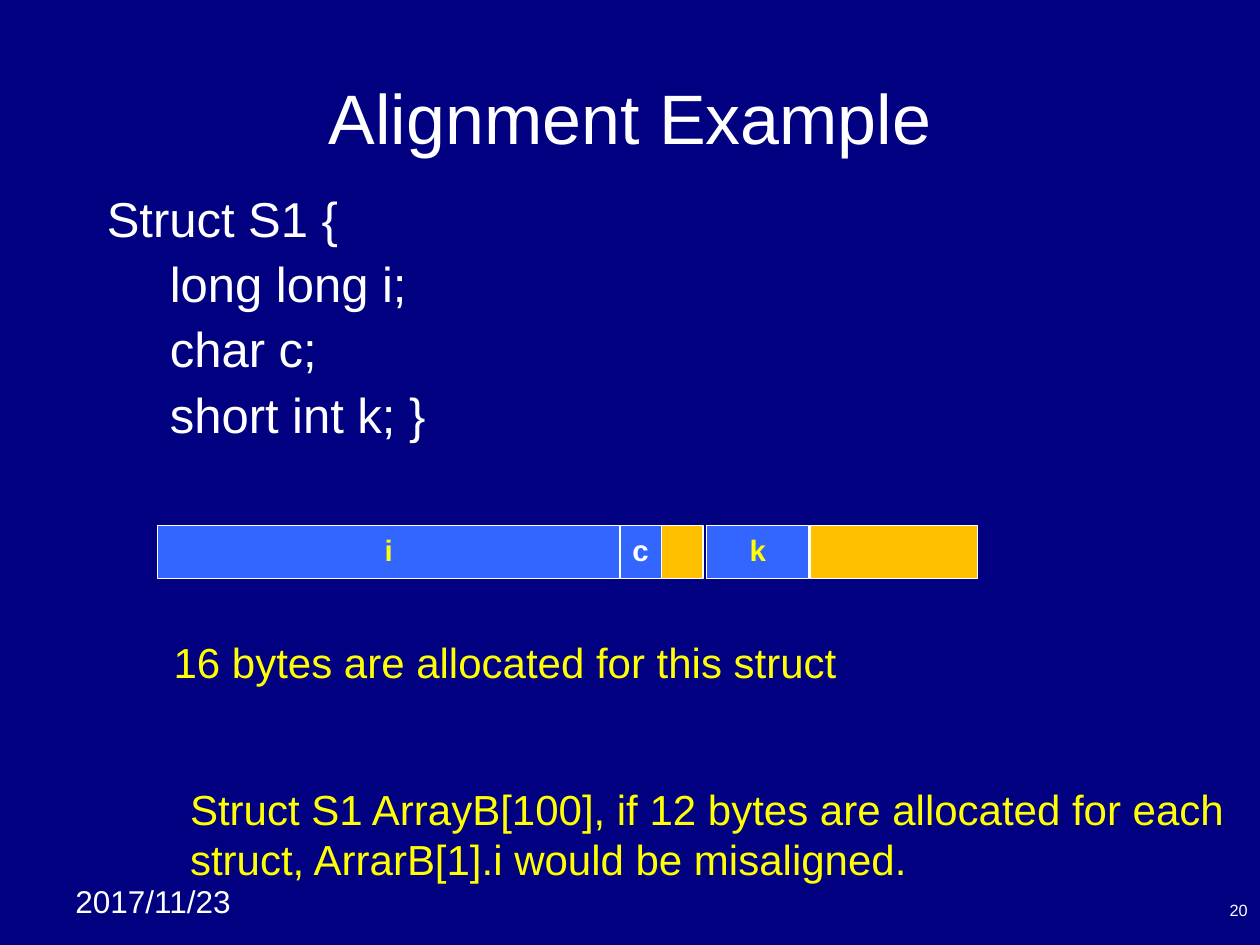
from dataclasses import dataclass

from pptx import Presentation
from pptx.dml.color import RGBColor
from pptx.enum.shapes import MSO_SHAPE
from pptx.enum.text import MSO_ANCHOR, PP_ALIGN
from pptx.shapes.autoshape import Shape
from pptx.slide import Slide
from pptx.util import Inches, Pt

COLORS = {
    "navy": "000080",
    "white": "FFFFFF",
    "yellow": "FFFF00",
    "blue": "3366FF",
    "gold": "FFC000",
}
TOP, HEIGHT = 4.17, 0.42


@dataclass
class Label:
    box: tuple[float, float, float, float]
    lines: list[str]
    size: float
    color: str = "white"
    align: PP_ALIGN = PP_ALIGN.LEFT
    anchor: MSO_ANCHOR = MSO_ANCHOR.TOP
    wrap: bool = True
    before: float = 0
    spacing: float = 1.0


@dataclass
class Field:
    left: float
    width: float
    fill: str
    name: str = ""
    color: str = "yellow"
    align: PP_ALIGN = PP_ALIGN.CENTER


LABELS = [
    Label((0.5, 6.95, 1.58, 0.4), ["2017/11/23"], 18),
    Label((0.5, 0.3, 9, 1.25), ["Alignment Example"], 40,
          align=PP_ALIGN.CENTER, anchor=MSO_ANCHOR.MIDDLE),
    Label((0.75, 1.5, 8.5, 5.17),
          ["Struct S1 {", "\tlong long i;", "\tchar c;", "\tshort int k; }"],
          28, before=7, spacing=0.9),
    Label((7.67, 7.08, 2.33, 0.27), ["20"], 9.3,
          align=PP_ALIGN.RIGHT, anchor=MSO_ANCHOR.BOTTOM),
    Label((1.28, 5, 5.46, 0.5), ["16 bytes are allocated for this struct"],
          24, "yellow", wrap=False),
    Label((1.41, 6.17, 8.52, 0.9),
          ["Struct S1 ArrayB[100], if 12 bytes are allocated for each",
           "struct, ArrarB[1].i would be misaligned."],
          24, "yellow", wrap=False),
]

FIELDS = [
    Field(1.25, 3.67, "blue", "i"),
    Field(4.92, 0.33, "blue", "c", "white", PP_ALIGN.LEFT),
    Field(5.25, 0.33, "gold"),
    Field(5.61, 0.81, "blue", "k"),
    Field(6.43, 1.33, "gold"),
]


def rgb(name: str) -> RGBColor:
    return RGBColor.from_string(COLORS[name])


def write(shape: Shape, label: Label, bold: bool = False) -> None:
    frame = shape.text_frame
    frame.word_wrap = label.wrap
    frame.vertical_anchor = label.anchor
    frame.text = "\n".join(label.lines)
    for para in frame.paragraphs:
        para.alignment = label.align
        para.space_before = Pt(label.before)
        para.line_spacing = label.spacing
        font = para.font
        font.name = "Arial"
        font.size = Pt(label.size)
        font.bold = bold
        font.color.rgb = rgb(label.color)


def add_label(slide: Slide, label: Label) -> None:
    box = slide.shapes.add_textbox(*map(Inches, label.box))
    write(box, label)


def add_field(slide: Slide, field: Field) -> None:
    box = (field.left, TOP, field.width, HEIGHT)
    shape = slide.shapes.add_shape(MSO_SHAPE.RECTANGLE, *map(Inches, box))
    shape.shadow.inherit = False
    shape.fill.solid()
    shape.fill.fore_color.rgb = rgb(field.fill)
    shape.line.color.rgb = rgb("white")
    shape.line.width = Pt(0.75)
    if field.name:
        label = Label(box, [field.name], 16.8, field.color, field.align)
        write(shape, label, bold=True)


def main() -> None:
    deck = Presentation()
    deck.slide_width = Inches(10)
    deck.slide_height = Inches(7.5)
    slide = deck.slides.add_slide(deck.slide_layouts[6])
    back = slide.background.fill
    back.solid()
    back.fore_color.rgb = rgb("navy")
    for label in LABELS:
        add_label(slide, label)
    for field in FIELDS:
        add_field(slide, field)
    deck.save("out.pptx")


if __name__ == "__main__":
    main()
